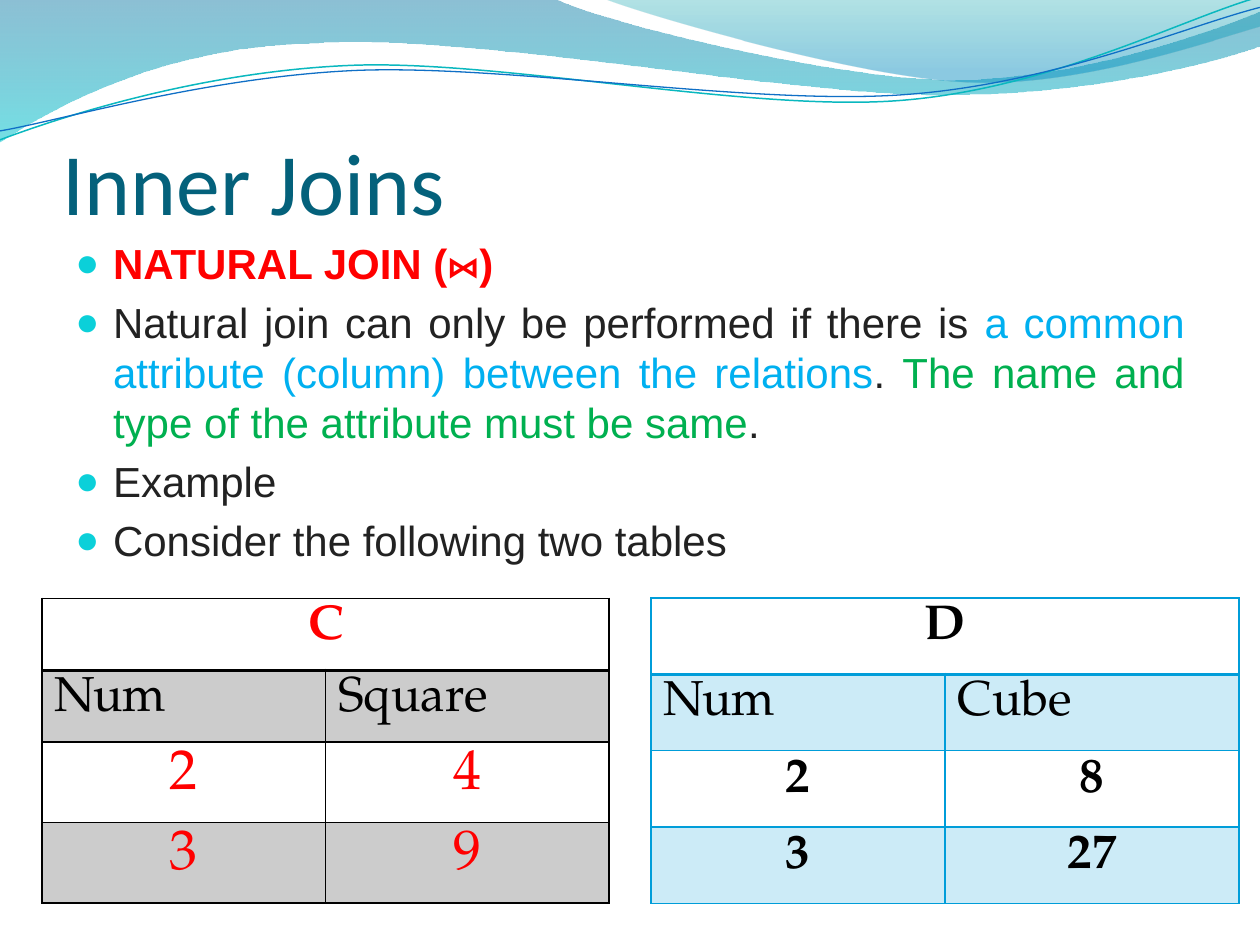
from dataclasses import dataclass

from lxml.etree import SubElement as Sub
from pptx import Presentation
from pptx.dml.color import RGBColor as Rgb
from pptx.enum.text import MSO_ANCHOR as Anchor, PP_ALIGN as Align
from pptx.oxml.ns import qn
from pptx.util import Cm, Pt


@dataclass(frozen=True)
class Theme:
    """Colours, fonts and type sizes of the slide."""
    title: str = "04617B"
    ink: str = "222222"
    black: str = "000000"
    red: str = "FF0000"
    sky: str = "00B0F0"
    green: str = "00B050"
    bullet: str = "0BD0D9"
    blue: str = "009DD9"
    outer_wave: tuple = ((0, "0074A1", 45), (1, "00C6CF", 55))
    inner_wave: tuple = ((0, "00A1A9", 30), (0.8, "008BBF", 45))
    teal_strand: str = "0AB8BF"
    blue_strand: str = "0F6FC6"
    title_font: str = "Calibri"
    body_font: str = "Arial"
    symbol_font: str = "Cambria"
    table_font: str = "TeX Gyre Pagella"
    title_size: int = 50
    body_size: int = 24
    cell_size: int = 28
    big_cell_size: int = 32


def set_alpha(fill, percent):
    """Give every colour inside a fill element its opacity."""
    for color in fill.iter(qn("a:srgbClr")):
        Sub(color, qn("a:alpha"), val=str(percent * 1000))


class SlideBuilder:
    """Holds the theme and the current slide and draws each kind of element."""

    def __init__(self, theme, slide):
        self.theme = theme
        self.shapes = slide.shapes

    def outline(self, start, segments, close):
        """Draw straight (2 numbers) and cubic (6 numbers) segments as one outline."""
        points = [(Cm(x), Cm(y)) for part in segments for x, y in zip(part[::2], part[1::2])]
        builder = self.shapes.build_freeform(*map(Cm, start), scale=1.0)
        builder.add_line_segments(points, close=close)
        shape = builder.convert_to_shape()
        shape.shadow.inherit = False
        strokes = iter(list(shape._element.iter(qn("a:lnTo"))))
        for part in segments:
            stroke = next(strokes)
            if len(part) == 6:
                stroke.tag = qn("a:cubicBezTo")
                for _ in range(2):
                    extra = next(strokes)
                    stroke.append(extra[0])
                    extra.getparent().remove(extra)
        return shape

    def wave(self, start, segments, stops):
        """Draw a filled wave with a see-through vertical gradient."""
        shape = self.outline(start, segments, True)
        shape.line.fill.background()
        shape.fill.gradient()
        shape.fill.gradient_angle = 270
        for stop, (position, color, opacity) in zip(shape.fill.gradient_stops, stops):
            stop.position = position
            stop.color.rgb = Rgb.from_string(color)
            set_alpha(stop._gs, opacity)

    def strand(self, start, segments, color, width):
        """Draw a thin curved line."""
        shape = self.outline(start, segments, False)
        shape.fill.background()
        shape.line.color.rgb = Rgb.from_string(color)
        shape.line.width = Pt(width)

    def run(self, paragraph, text, font, size, color, bold=False):
        """Add one styled run."""
        run = paragraph.add_run()
        run.text = text
        run.font.name = font
        run.font.size = Pt(size)
        run.font.bold = bold
        run.font.color.rgb = Rgb.from_string(color)

    def title(self, text, box):
        """Add the slide title, standing on the bottom of its box."""
        frame = self.shapes.add_textbox(*map(Cm, box)).text_frame
        frame.word_wrap = True
        frame.vertical_anchor = Anchor.BOTTOM
        frame.margin_left = frame.margin_right = frame.margin_bottom = 0
        theme = self.theme
        self.run(frame.paragraphs[0], text, theme.title_font, theme.title_size, theme.title)

    def bullets(self, items, box):
        """Add bulleted paragraphs, each given as alignment and styled parts."""
        frame = self.shapes.add_textbox(*map(Cm, box)).text_frame
        frame.word_wrap = True
        for index, (align, parts) in enumerate(items):
            paragraph = frame.add_paragraph() if index else frame.paragraphs[0]
            paragraph.alignment = align
            paragraph.line_spacing = Pt(28.6)
            if index:
                paragraph.space_before = Pt(5.2)
            props = paragraph._p.get_or_add_pPr()
            props.set("marL", str(Cm(0.76)))
            props.set("indent", str(-Cm(0.76)))
            Sub(Sub(props, qn("a:buClr")), qn("a:srgbClr"), val=self.theme.bullet)
            Sub(props, qn("a:buSzPct"), val="95000")
            Sub(props, qn("a:buFont"), typeface=self.theme.body_font)
            Sub(props, qn("a:buChar"), char="●")
            for text, font, color, bold in parts:
                self.run(paragraph, text, font, self.theme.body_size, color, bold)

    def borders(self, cell, row, color):
        """Rule all sides of a cell, heavier below the heading row."""
        props = cell._tc.get_or_add_tcPr()
        widths = {"L": 1, "R": 1, "T": 2 if row == 1 else 1, "B": 2 if row == 0 else 1}
        for side, width in widths.items():
            line = Sub(props, qn(f"a:ln{side}"), w=str(Pt(width)))
            Sub(Sub(line, qn("a:solidFill")), qn("a:srgbClr"), val=color)

    def relation(self, heading, rows, box, heights, accent, styles):
        """Add a two-column relation; styles give size, colour and weight by row."""
        grid = [(heading, ""), *rows]
        table = self.shapes.add_table(len(grid), 2, *map(Cm, box)).table
        table.first_row = table.horz_banding = False
        table.cell(0, 0).merge(table.cell(0, 1))
        for row, (values, height, style) in enumerate(zip(grid, heights, styles)):
            table.rows[row].height = Cm(height)
            for column, value in enumerate(values):
                cell = table.cell(row, column)
                self.borders(cell, row, accent)
                if row % 2:
                    cell.fill.solid()
                    cell.fill.fore_color.rgb = Rgb.from_string(accent)
                    set_alpha(cell._tc.tcPr.find(qn("a:solidFill")), 20)
                else:
                    cell.fill.background()
                if value:
                    paragraph = cell.text_frame.paragraphs[0]
                    paragraph.alignment = Align.LEFT if row == 1 else Align.CENTER
                    self.run(paragraph, value, self.theme.table_font, *style)


def main():
    """Build the slide on inner joins."""
    deck = Presentation()
    deck.slide_width, deck.slide_height = Cm(25.4), Cm(19.05)
    theme = Theme()
    page = SlideBuilder(theme, deck.slides.add_slide(deck.slide_layouts[6]))

    page.wave((0, 0), [
        (11.18, -0.03), (12.09, 0.43, 16.87, 1.6, 19.25, 1.6),
        (21.67, 1.6, 24.33, 0.66, 25.4, 0.23), (25.43, 0.91),
        (24.97, 1.12, 22.1, 1.93, 18.95, 1.91), (15.8, 1.91, 9.7, 0.71, 6.53, 0.86),
        (3.28, 0.91, 1.17, 2.11, -0.03, 2.87), (0, 0),
    ], theme.outer_wave)
    page.wave((12.17, -0.03), [
        (12.93, 0.28, 17.32, 1.57, 19.53, 1.65),
        (21.74, 1.75, 24.41, 0.81, 25.4, 0.53), (25.4, 0), (12.17, -0.03),
    ], theme.inner_wave)
    page.strand((0, 2.82), [
        (1.22, 2.36, 4.01, 1.45, 7.04, 1.32), (10.03, 1.19, 15.06, 2.26, 18.11, 2.03),
        (21.16, 1.8, 23.83, 0.38, 25.35, -0.05),
    ], theme.teal_strand, 0.85)
    page.strand((0, 2.64), [
        (1.19, 2.44, 4.17, 1.55, 7.19, 1.42), (10.24, 1.3, 15.16, 2.13, 18.21, 1.91),
        (21.23, 1.7, 23.9, 0.53, 25.4, 0.15),
    ], theme.blue_strand, 0.75)

    page.title("Inner Joins", (1.27, 2.3, 22.86, 2.39))
    body = theme.body_font
    page.bullets([
        (Align.LEFT, [("NATURAL JOIN (", body, theme.red, True),
                      ("⋈", theme.symbol_font, theme.red, True),
                      (")", body, theme.red, True)]),
        (Align.JUSTIFY, [
            ("Natural join can only be performed if there is ", body, theme.ink, False),
            ("a common attribute (column) between the relations", body, theme.sky, False),
            (". ", body, theme.ink, False),
            ("The name and type of the attribute must be same", body, theme.green, False),
            (".", body, theme.ink, False)]),
        (Align.LEFT, [("Example", body, theme.ink, False)]),
        (Align.LEFT, [("Consider the following two tables", body, theme.ink, False)]),
    ], (1.27, 4.67, 22.86, 12.9))

    label = (theme.cell_size, theme.black, False)
    strong = (theme.cell_size, theme.black, True)
    square = (theme.big_cell_size, theme.red, False)
    page.relation("C", [("Num", "Square"), ("2", "4"), ("3", "9")],
                  (0.85, 12.06, 11.43, 6.14), (1.45, 1.45, 1.62, 1.62), theme.black,
                  [(theme.cell_size, theme.red, True), label, square, square])
    page.relation("D", [("Num", "Cube"), ("2", "8"), ("3", "27")],
                  (13.12, 12.05, 11.86, 6.16), [1.54] * 4, theme.blue,
                  [strong, label, strong, strong])
    deck.save("out.pptx")


if __name__ == "__main__":
    main()
